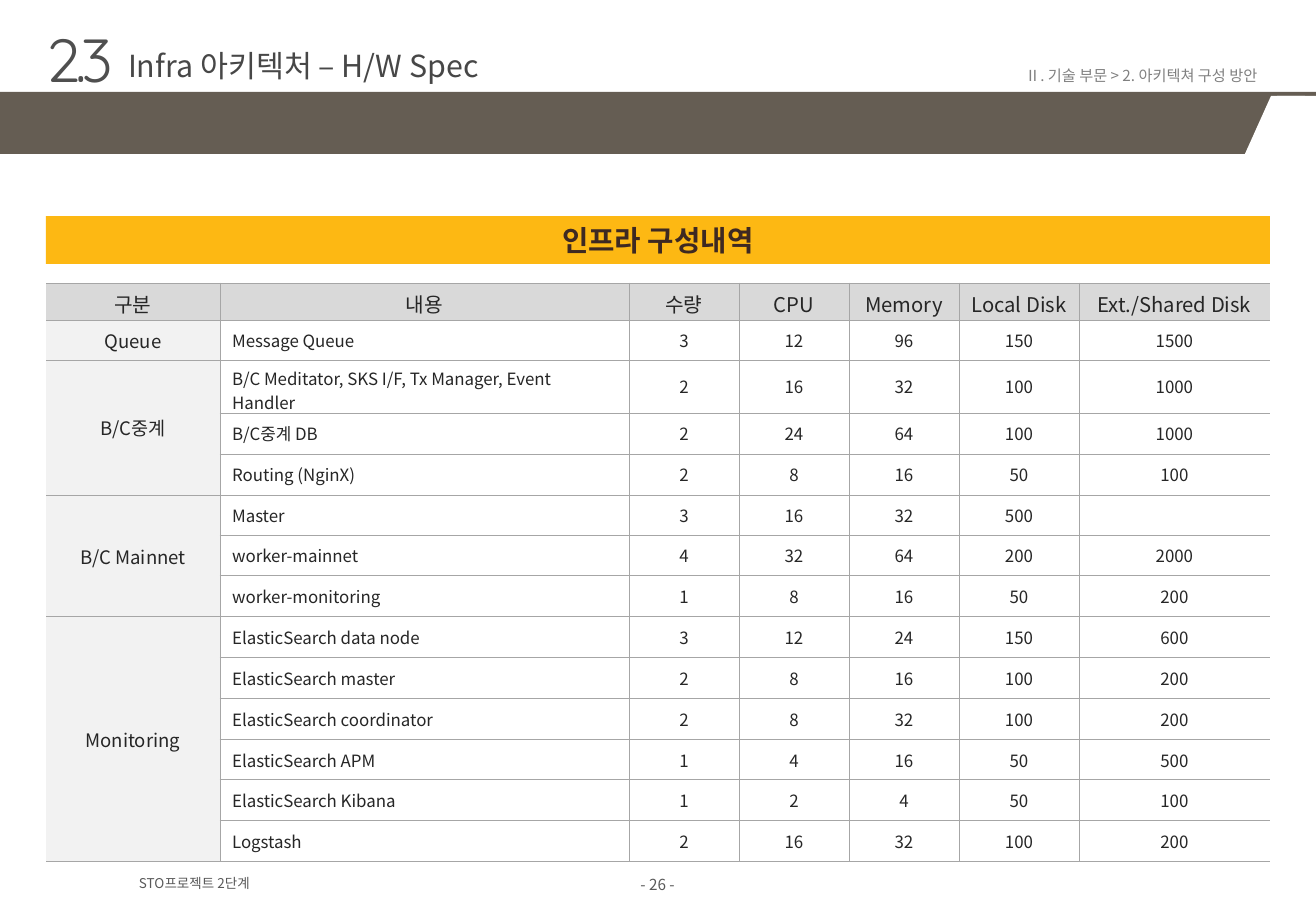
from dataclasses import dataclass

from lxml.etree import SubElement
from pptx import Presentation
from pptx.dml.color import RGBColor as Rgb
from pptx.enum.shapes import MSO_SHAPE as Shape
from pptx.enum.text import MSO_ANCHOR as Anchor, PP_ALIGN as Align
from pptx.oxml.ns import qn
from pptx.util import Pt

PX = 914400 / 121.5  # EMU in one px


@dataclass(frozen=True)
class Theme:
    font: str = "Noto Sans CJK KR"
    number_font: str = "Quicksand"
    band: str = "655D53"
    white: str = "FFFFFF"
    accent: str = "FDB813"
    accent_text: str = "3E2922"
    title: str = "474747"
    number: str = "4F4F4F"
    trail: str = "808080"
    footer: str = "595959"
    header_fill: str = "D9D9D9"
    group_fill: str = "F2F2F2"
    border: str = "A6A6A6"
    cell_text: str = "262626"
    number_size: int = 36
    title_size: int = 18
    banner_size: int = 17
    header_size: int = 12
    group_size: int = 11
    cell_size: int = 10
    small_size: int = 9
    footer_size: int = 8


THEME = Theme()

HEADERS = ["구분", "내용", "수량", "CPU", "Memory", "Local Disk", "Ext./Shared Disk"]
COLUMNS = [174, 409, 110, 110, 110, 120, 191]
GROUPS = {
    "Queue": [("Message Queue", 3, 12, 96, 150, 1500)],
    "B/C중계": [
        ("B/C Meditator, SKS I/F, Tx Manager, Event Handler", 2, 16, 32, 100, 1000),
        ("B/C중계 DB", 2, 24, 64, 100, 1000),
        ("Routing (NginX)", 2, 8, 16, 50, 100),
    ],
    "B/C Mainnet": [
        ("Master", 3, 16, 32, 500, ""),
        ("worker-mainnet", 4, 32, 64, 200, 2000),
        ("worker-monitoring", 1, 8, 16, 50, 200),
    ],
    "Monitoring": [
        ("ElasticSearch data node", 3, 12, 24, 150, 600),
        ("ElasticSearch master", 2, 8, 16, 100, 200),
        ("ElasticSearch coordinator", 2, 8, 32, 100, 200),
        ("ElasticSearch APM", 1, 4, 16, 50, 500),
        ("ElasticSearch Kibana", 1, 2, 4, 50, 100),
        ("Logstash", 2, 16, 32, 100, 200),
    ],
}
FIRST_ROWS = [37, 40, 53]
EVEN_ROWS, EVEN_HEIGHT = 11, 449


def px(*lengths):
    return [round(length * PX) for length in lengths]


def write(frame, text, size, color, font=THEME.font, align=Align.LEFT, bold=False, spacing=None):
    para = frame.paragraphs[0]
    para.alignment = align
    if not text:
        para._p.get_or_add_endParaRPr().set("sz", str(size * 100))
        return
    span = para.add_run()
    span.text = text
    span.font.size = Pt(size)
    span.font.bold = bold
    span.font.name = font
    span.font.color.rgb = Rgb.from_string(color)
    props = span._r.get_or_add_rPr()
    SubElement(props, qn("a:ea"), typeface=font)
    if spacing is not None:
        props.set("spc", str(spacing * 100))


def set_frame(frame, anchor=Anchor.TOP, wrap=True, inset=True):
    frame.word_wrap = wrap
    frame.vertical_anchor = anchor
    if not inset:
        frame.margin_left = frame.margin_right = frame.margin_top = frame.margin_bottom = 0


def add_text(page, place, text, size, color, anchor=Anchor.TOP, wrap=True, inset=True, **style):
    box = page.shapes.add_textbox(*px(*place))
    set_frame(box.text_frame, anchor, wrap, inset)
    write(box.text_frame, text, size, color, **style)


def add_block(page, place, fill, kind=Shape.RECTANGLE):
    block = page.shapes.add_shape(kind, *px(*place))
    block.shadow.inherit = False
    block.fill.solid()
    block.fill.fore_color.rgb = Rgb.from_string(fill)
    block.line.fill.background()
    return block


def add_title(page, place, text):
    title = page.shapes.title
    title.left, title.top, title.width, title.height = px(*place)
    set_frame(title.text_frame, wrap=False, inset=False)
    write(title.text_frame, text, THEME.title_size, THEME.title)


def set_borders(cell, sides):
    """Draw the named sides; the fill must be set afterwards."""
    props = cell._tc.get_or_add_tcPr()
    for side in ("L", "R", "T", "B"):
        line = SubElement(props, qn(f"a:ln{side}"), w=str(Pt(0.5)))
        if side in sides:
            SubElement(SubElement(line, qn("a:solidFill")), qn("a:srgbClr"), val=THEME.border)
        else:
            SubElement(line, qn("a:noFill"))


def fill_cell(cell, text, size, fill, align, sides):
    set_borders(cell, sides)
    cell.fill.solid()
    cell.fill.fore_color.rgb = Rgb.from_string(fill)
    cell.vertical_anchor = Anchor.MIDDLE
    write(cell.text_frame, text, size, THEME.cell_text, align=align)


def add_spec_table(page, left, top):
    rows = [HEADERS]
    for group, items in GROUPS.items():
        rows += [(group if i == 0 else "", *item) for i, item in enumerate(items)]
    edges = [round(i * EVEN_HEIGHT / EVEN_ROWS) for i in range(EVEN_ROWS + 1)]
    heights = FIRST_ROWS + [low - high for high, low in zip(edges, edges[1:])]

    frame = page.shapes.add_table(len(rows), len(COLUMNS),
                                  *px(left, top, sum(COLUMNS), sum(heights)))
    table = frame.table
    table.horz_banding = False
    for column, width in zip(table.columns, px(*COLUMNS)):
        column.width = width
    for row, height in zip(table.rows, px(*heights)):
        row.height = height

    # Cells: header row, group column, then items
    for r, values in enumerate(rows):
        for c, value in enumerate(values):
            sides = "TB" + ("L" if c else "") + ("R" if c < len(COLUMNS) - 1 else "")
            if r == 0:
                size, fill = THEME.header_size, THEME.header_fill
            elif c == 0:
                size, fill = THEME.group_size, THEME.group_fill
            else:
                size, fill = THEME.cell_size, THEME.white
            align = Align.LEFT if r and c == 1 else Align.CENTER
            fill_cell(table.cell(r, c), str(value), size, fill, align, sides)

    # One group cell for all its items
    start = 1
    for items in GROUPS.values():
        end = start + len(items)
        if len(items) > 1:
            table.cell(start, 0).merge(table.cell(end - 1, 0))
        start = end


def main():
    deck = Presentation()
    deck.slide_width, deck.slide_height = px(1316, 911)
    page = deck.slides.add_slide(deck.slide_layouts[5])

    # Band with a cut corner
    add_block(page, (0, 92, 1316, 62), THEME.band)
    slant = add_block(page, (1244, 96, 61, 60), THEME.white, Shape.PARALLELOGRAM)
    slant.adjustments[0] = 0.45
    add_block(page, (1277, 96, 39, 60), THEME.white)

    # Heading
    add_text(page, (46, 33, 128, 51), "2.3", THEME.number_size, THEME.number,
             anchor=Anchor.MIDDLE, wrap=False, inset=False, font=THEME.number_font, spacing=-3)
    add_title(page, (128, 47, 374, 41), "Infra 아키텍처 – H/W Spec")
    add_text(page, (846, 60, 423, 29), "Ⅱ. 기술 부문 > 2. 아키텍쳐 구성 방안",
             THEME.small_size, THEME.trail, align=Align.RIGHT)

    # Banner and table
    banner = add_block(page, (46, 216, 1224, 48), THEME.accent)
    set_frame(banner.text_frame, Anchor.MIDDLE)
    write(banner.text_frame, "인프라 구성내역", THEME.banner_size, THEME.accent_text,
          align=Align.CENTER, bold=True)
    add_spec_table(page, 46, 283)

    # Footer
    add_text(page, (127, 869, 294, 29), "STO프로젝트 2단계", THEME.footer_size, THEME.footer)
    add_text(page, (626, 875, 63, 18), "- 26 -", THEME.small_size, THEME.footer,
             anchor=Anchor.MIDDLE, inset=False, align=Align.CENTER)

    deck.save("out.pptx")


if __name__ == "__main__":
    main()
